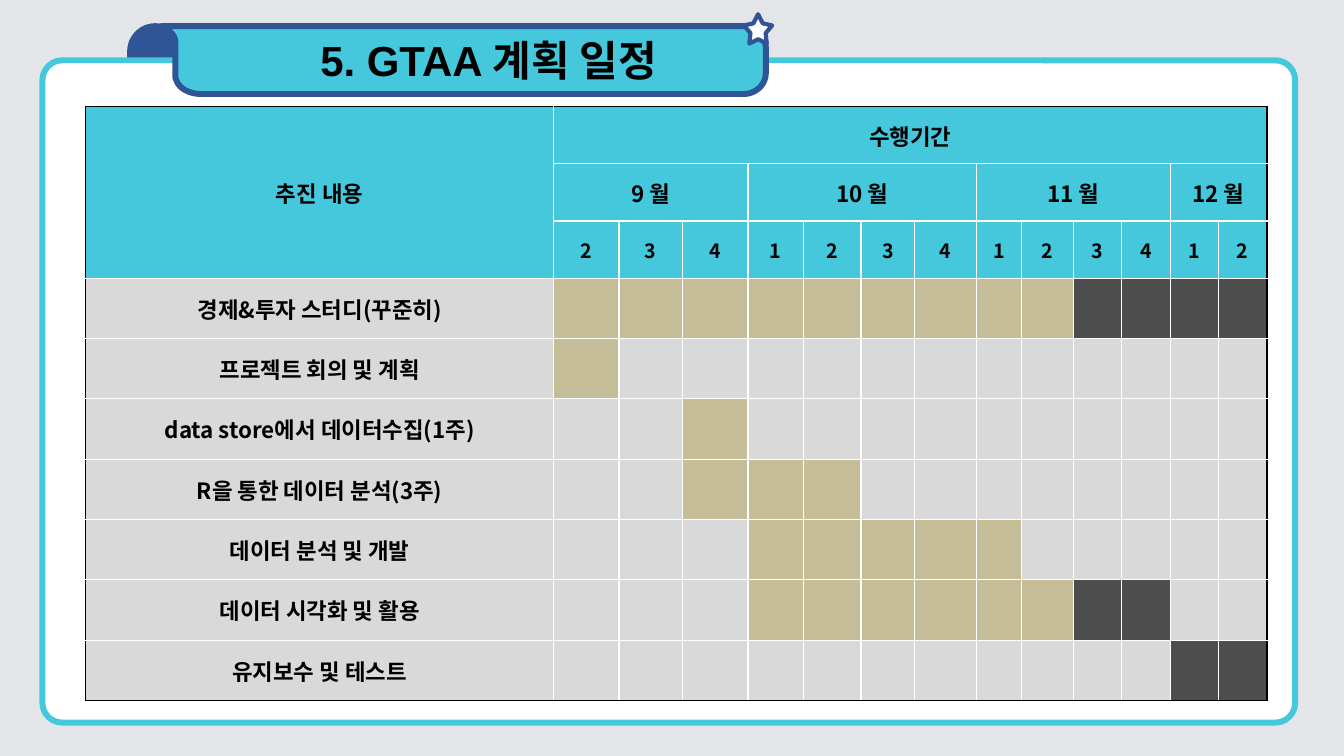
from lxml.etree import SubElement
from pptx import Presentation
from pptx.dml.color import RGBColor
from pptx.enum.shapes import MSO_SHAPE
from pptx.enum.text import MSO_ANCHOR, PP_ALIGN
from pptx.oxml.ns import qn
from pptx.util import Cm, Pt

AQUA = RGBColor(0x45, 0xC8, 0xDC)
NAVY = RGBColor(0x2F, 0x55, 0x97)
WHITE = RGBColor(0xFF, 0xFF, 0xFF)
BLACK = RGBColor(0, 0, 0)
BACK = RGBColor(0xE3, 0xE5, 0xE9)
GREY = RGBColor(0xD9, 0xD9, 0xD9)
SAND = RGBColor(0xC4, 0xBD, 0x97)
DARK = RGBColor(0x4D, 0x4D, 0x4D)
FONT = "Noto Sans CJK KR"

WIDTHS = [11.79, 1.65, 1.6, 1.65, 1.4, 1.45, 1.35, 1.55, 1.15, 1.3] + [1.22] * 4
HEAD, BODY = 1.44, 1.52  # row heights
MONTHS = [("9 월", (2, 3, 4)), ("10 월", (1, 2, 3, 4)),
          ("11 월", (1, 2, 3, 4)), ("12 월", (1, 2))]
# One mark per week: o is sand, x is dark, a dot is idle
TASKS = [("경제&투자 스터디(꾸준히)", "oooooooooxxxx"),
         ("프로젝트 회의 및 계획", "o"),
         ("data store에서 데이터수집(1주)", "..o"),
         ("R을 통한 데이터 분석(3주)", "..ooo"),
         ("데이터 분석 및 개발", "...ooooo"),
         ("데이터 시각화 및 활용", "...ooooooxx"),
         ("유지보수 및 테스트", "...........xx")]
MARKS = {"o": SAND, "x": DARK, ".": GREY}


def write(frame, text, size, font=FONT):
    """Add one centred bold black run and return its paragraph."""
    para = frame.paragraphs[0]
    para.alignment = PP_ALIGN.CENTER
    run = para.add_run()
    run.text = text
    run.font.size, run.font.bold, run.font.name = Pt(size), True, font
    run.font.color.rgb = BLACK
    SubElement(run.font._element, qn("a:ea"), typeface=FONT)
    return para


def paint(shape, fill, line, width=4.25):
    shape.shadow.inherit = False
    shape.fill.solid()
    shape.fill.fore_color.rgb = fill
    shape.line.color.rgb = line
    shape.line.width = Pt(width)


def preset(slide, kind, box, adj, *look):
    shape = slide.shapes.add_shape(kind, *map(Cm, box))
    shape.adjustments[0] = adj
    paint(shape, *look)


def curve(start, one, two, end, steps=10):
    """Points along a cubic curve, without its start."""
    for i in range(1, steps + 1):
        t = i / steps
        u = 1 - t
        yield tuple(u**3 * a + 3 * u * u * t * b + 3 * u * t * t * c + t**3 * d
                    for a, b, c, d in zip(start, one, two, end))


def ribbon(slide, left, top, wide, high):
    points = [
        (wide - .56, 0),
        *curve((wide - .56, 0), (wide - .25, 0), (wide, .23), (wide, .53)),
        (wide, high - .52),
        *curve((wide, high - .52), (wide, high - .24), (wide - .25, high),
               (wide - .56, high)),
        (1.02, high),
        *curve((1.02, high), (.74, high), (.51, high - .11), (.41, high - .29)),
        (.36, high - .41), (.36, .41),
        *curve((.36, .41), (.36, .25), (.25, .13), (.1, .05)),
        (0, .03)]
    draw = slide.shapes.build_freeform(Cm(left), Cm(top))
    draw.add_line_segments([(Cm(left + x), Cm(top + y)) for x, y in points])
    shape = draw.convert_to_shape()
    paint(shape, AQUA, NAVY)
    frame = shape.text_frame
    frame.word_wrap = True
    frame.vertical_anchor = MSO_ANCHOR.MIDDLE
    para = write(frame, "5. GTAA 계획 일정", 30, "Arial")
    props = para._p.get_or_add_pPr()
    props.set("marL", str(Cm(1.27)))
    props.set("indent", "0")


def edge(cell, side, color):
    line = SubElement(cell._tc.get_or_add_tcPr(), qn("a:ln" + side), w=str(Pt(1)))
    SubElement(SubElement(line, qn("a:solidFill")), qn("a:srgbClr"), val=str(color))


def style(table, row, col, fill):
    """Fill a cell; its edges are black on the table's rim, white inside."""
    cell = table.cell(row, col)
    low = row + cell.span_height if cell.is_merge_origin else row + 1
    far = col + cell.span_width if cell.is_merge_origin else col + 1
    rims = {"L": col == 0, "R": far == len(table.columns),
            "T": row == 0, "B": low == len(table.rows)}
    for side, rim in rims.items():
        edge(cell, side, BLACK if rim else WHITE)
    cell.fill.solid()
    cell.fill.fore_color.rgb = fill


def label(table, row, col, text, size=16, down=1, over=1):
    cell = table.cell(row, col)
    if down * over > 1:
        cell.merge(table.cell(row + down - 1, col + over - 1))
    cell.vertical_anchor = MSO_ANCHOR.MIDDLE
    cell.margin_left = cell.margin_right = Cm(.05)
    cell.margin_top = cell.margin_bottom = Cm(.05)
    write(cell.text_frame, text, size)


def chart(slide, left, top):
    """Schedule table: three header rows, then one row per task."""
    highs = [HEAD] * 3 + [BODY] * len(TASKS)
    box = (left, top, sum(WIDTHS), sum(highs))
    table = slide.shapes.add_table(len(highs), len(WIDTHS), *map(Cm, box)).table
    table.first_row = table.horz_banding = False
    for col, wide in zip(table.columns, WIDTHS):
        col.width = Cm(wide)
    for row, high in zip(table.rows, highs):
        row.height = Cm(high)

    label(table, 0, 0, "추진 내용", down=3)
    label(table, 0, 1, "수행기간", over=len(WIDTHS) - 1)
    col = 1
    for month, weeks in MONTHS:
        label(table, 1, col, month, over=len(weeks))
        for week in weeks:
            label(table, 2, col, str(week), 14)
            col += 1
    for row in range(3):
        for col in range(len(WIDTHS)):
            style(table, row, col, AQUA)
    for row, (task, marks) in enumerate(TASKS, 3):
        label(table, row, 0, task)
        for col, mark in enumerate("." + marks.ljust(len(WIDTHS) - 1, ".")):
            style(table, row, col, MARKS[mark])


def main():
    deck = Presentation()
    deck.slide_width, deck.slide_height = Cm(33.87), Cm(19.05)
    slide = deck.slides.add_slide(deck.slide_layouts[6])
    slide.background.fill.solid()
    slide.background.fill.fore_color.rgb = BACK
    preset(slide, MSO_SHAPE.ROUND_2_SAME_RECTANGLE, (3.28, .66, 1.27, 2.49),
           .5, NAVY, NAVY)
    preset(slide, MSO_SHAPE.ROUNDED_RECTANGLE, (1.07, 1.52, 31.57, 16.69),
           .03, WHITE, AQUA)
    ribbon(slide, 4.06, .66, 15.24, 1.71)
    preset(slide, MSO_SHAPE.STAR_5_POINT, (18.75, .36, .71, .74),
           .27, WHITE, NAVY, 3)
    chart(slide, 2.16, 2.69)
    deck.save("out.pptx")


if __name__ == "__main__":
    main()
